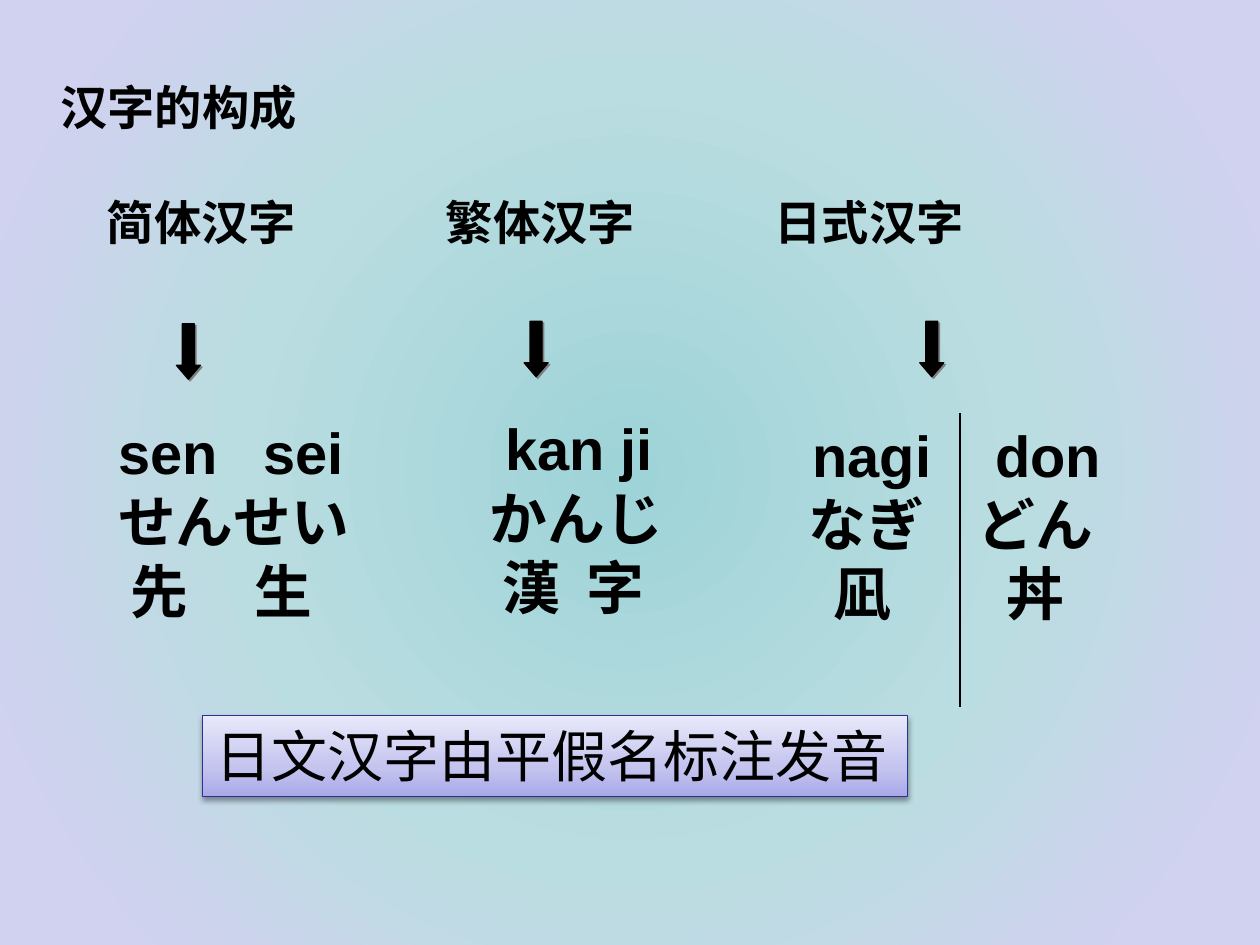
from lxml import etree
from pptx import Presentation
from pptx.dml.color import RGBColor
from pptx.enum.shapes import MSO_CONNECTOR, MSO_SHAPE
from pptx.enum.text import MSO_ANCHOR, MSO_AUTO_SIZE, PP_ALIGN
from pptx.oxml import parse_xml
from pptx.oxml.ns import nsdecls, qn
from pptx.util import Inches, Pt

RECTANGLE, DOWN_ARROW = MSO_SHAPE.RECTANGLE, MSO_SHAPE.DOWN_ARROW
STRAIGHT = MSO_CONNECTOR.STRAIGHT
TOP, MIDDLE, LEFT = MSO_ANCHOR.TOP, MSO_ANCHOR.MIDDLE, PP_ALIGN.LEFT
FIT_SHAPE = MSO_AUTO_SIZE.SHAPE_TO_FIT_TEXT

BLACK = RGBColor(0x00, 0x00, 0x00)
GREY = RGBColor(0x80, 0x80, 0x80)
INDIGO = RGBColor(0x2F, 0x2F, 0x98)
TEAL = RGBColor(0x9E, 0xD3, 0xD7)
PALE_TEAL = RGBColor(0xBA, 0xDD, 0xE1)
LILAC = RGBColor(0xD1, 0xD1, 0xF0)
VIOLET = RGBColor(0xA9, 0xA9, 0xE9)
LAVENDER = RGBColor(0xC4, 0xC4, 0xEF)
MIST = RGBColor(0xE8, 0xE8, 0xFA)

FROM_CENTRE = ('<a:path path="circle"><a:fillToRect l="50000" t="50000" '
               'r="50000" b="50000"/></a:path>')
UPWARD = '<a:lin ang="16200000" scaled="0"/>'


class SlideBuilder:
    font = "Arial"
    line_width = Pt(0.75)

    def __init__(self, page):
        self.page = page

    def gradient(self, owner, fill, stops, direction):
        """Fill with (percent, colour) stops along a direction."""
        fill.gradient()
        marks = "".join(
            f'<a:gs pos="{percent * 1000}"><a:srgbClr val="{colour}"/></a:gs>'
            for percent, colour in stops)
        old = next(owner.element.iter(qn("a:gradFill")))
        old.getparent().replace(old, parse_xml(
            f'<a:gradFill {nsdecls("a")} rotWithShape="1">'
            f'<a:gsLst>{marks}</a:gsLst>{direction}</a:gradFill>'))

    def shadow(self, shape, colour, alpha, blur, distance, angle):
        shape.shadow.inherit = False
        effects = shape.element.spPr.find(qn("a:effectLst"))
        effects.append(parse_xml(
            f'<a:outerShdw {nsdecls("a")} blurRad="{Pt(blur)}" '
            f'dist="{Pt(distance)}" dir="{angle * 60000}" algn="ctr" '
            f'rotWithShape="0"><a:srgbClr val="{colour}">'
            f'<a:alpha val="{alpha * 1000}"/></a:srgbClr></a:outerShdw>'))

    def style(self, para, size, bold):
        para.alignment = LEFT
        for span in para.runs:
            span.font.name = self.font
            span.font.size = Pt(size)
            span.font.bold = bold
            span.font.color.rgb = BLACK

    def text(self, left, top, width, height, lines, size, gap=0, fit=True):
        """Each line is a list of (word, distance from the left margin)."""
        box = self.page.shapes.add_textbox(
            Inches(left), Inches(top), Inches(width), Inches(height))
        frame = box.text_frame
        frame.word_wrap = True
        if fit:
            frame.auto_size = FIT_SHAPE
        frame.text = "\n".join(
            "".join(("\t" if stop else "") + word for word, stop in line)
            for line in lines)
        for index, (para, line) in enumerate(zip(frame.paragraphs, lines)):
            self.style(para, size, True)
            para.space_before = Pt(gap if index else 0)
            tabs = etree.SubElement(
                para._p.get_or_add_pPr(), qn("a:tabLst"))
            for _, stop in line:
                if stop:
                    etree.SubElement(tabs, qn("a:tab"),
                                     pos=str(Inches(stop)), algn="l")

    def arrow(self, left, top):
        arrow = self.page.shapes.add_shape(
            DOWN_ARROW, Inches(left), Inches(top), Inches(0.19), Inches(0.44))
        arrow.adjustments[1] = 0.58
        arrow.fill.solid()
        arrow.fill.fore_color.rgb = BLACK
        arrow.line.color.rgb = BLACK
        arrow.line.width = self.line_width
        self.shadow(arrow, GREY, 100, 0, 1.4, 45)

    def banner(self, left, top, width, height, words):
        panel = self.page.shapes.add_shape(
            RECTANGLE, Inches(left), Inches(top), Inches(width), Inches(height))
        self.gradient(panel, panel.fill,
                      [(0, VIOLET), (35, LAVENDER), (100, MIST)], UPWARD)
        panel.line.color.rgb = INDIGO
        panel.line.width = self.line_width
        self.shadow(panel, BLACK, 38, 3.1, 1.6, 90)
        frame = panel.text_frame
        frame.word_wrap = False
        frame.auto_size = FIT_SHAPE
        frame.vertical_anchor = TOP
        frame.text = words
        self.style(frame.paragraphs[0], 32, False)

    def divider(self, x, top, bottom):
        line = self.page.shapes.add_connector(
            STRAIGHT, Inches(x), Inches(top), Inches(x), Inches(bottom))
        line.line.color.rgb = BLACK
        line.line.width = self.line_width
        etree.SubElement(line.element.spPr, qn("a:effectLst"))


def main():
    deck = Presentation()
    deck.slide_width, deck.slide_height = Inches(10), Inches(7.5)
    page = deck.slides.add_slide(deck.slide_layouts[6])
    builder = SlideBuilder(page)
    builder.gradient(page, page.background.fill,
                     [(0, TEAL), (50, PALE_TEAL), (88, LILAC)], FROM_CENTRE)

    # Title and the three kinds of characters
    builder.text(0.38, 0.57, 8.62, 2.95, [
        [("汉字的构成", 0)],
        [("简体汉字", 0.37), ("繁体汉字", 3.06), ("日式汉字", 5.67)],
    ], 27, gap=33.5, fit=False)

    # Examples: romanised reading, hiragana, characters
    builder.text(3.79, 3.23, 1.94, 1.77, [
        [("kan ji", 0.12)],
        [("かんじ", 0)],
        [("漢", 0.1), ("字", 0.77)],
    ], 33)
    builder.text(0.84, 3.26, 2.23, 1.77, [
        [("sen", 0), ("sei", 1.15)],
        [("せんせい", 0)],
        [("先", 0.1), ("生", 1.08)],
    ], 33)
    builder.text(6.11, 3.28, 3.02, 2.32, [
        [("nagi", 0.24), ("don", 1.69)],
        [("なぎ", 0.21), ("どん", 1.55)],
        [("凪", 0.41), ("丼", 1.78)],
    ], 33)

    # Arrows, conclusion and divider
    for left, top in [(1.4, 2.57), (7.3, 2.55), (4.16, 2.55)]:
        builder.arrow(left, top)
    builder.banner(1.61, 5.68, 5.59, 0.64, "日文汉字由平假名标注发音")
    builder.divider(7.62, 3.28, 5.61)

    deck.save("out.pptx")


if __name__ == "__main__":
    main()
